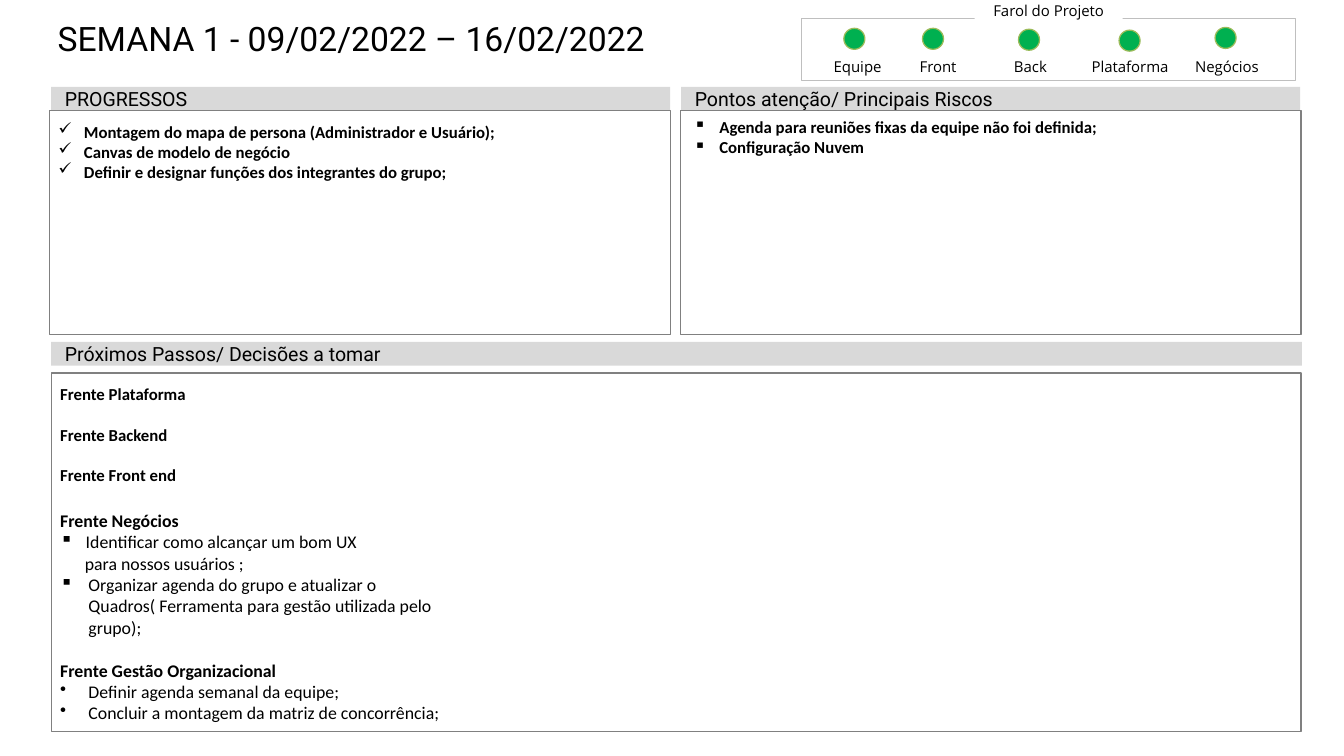
import pptx
import pptx.util
import pptx.dml.color
import pptx.enum.shapes
import pptx.enum.text
import pptx.oxml.ns
import lxml.etree

SHAPES = pptx.enum.shapes.MSO_SHAPE
ALIGN = pptx.enum.text.PP_ALIGN
ANCHOR = pptx.enum.text.MSO_ANCHOR
Inches = pptx.util.Inches
COLUMNS, ROWS = 147, 82.7


def color(hex_code):
    """Turn a hex string into a colour."""
    return pptx.dml.color.RGBColor.from_string(hex_code)


def line_of(text, bullet=None, indent=0, size=13.2, bold=True, after=0):
    """Describe one paragraph of a list."""
    return dict(text=text, bullet=bullet, indent=indent, size=size, bold=bold, after=after)


class StatusSlide:
    """Holds the style and the slide, with a method for each kind of element."""

    heading_font, label_font, body_font = "Roboto", "Open Sans", "Calibri"
    ink, band_fill, border = "000000", "D9D9D9", "808080"
    light_fill, light_border, frame_border = "00B050", "9BBB59", "BFBFBF"
    label_insets = (0.06, 0.06, 0.06, 0)

    def __init__(self, presentation):
        """Add a title-only slide and work out its grid."""
        self.slide = presentation.slides.add_slide(presentation.slide_layouts[5])
        self.column = presentation.slide_width / COLUMNS
        self.row = presentation.slide_height / ROWS

    def area(self, left, top, width, height):
        """Convert columns and rows to slide lengths."""
        return (round(left * self.column), round(top * self.row),
                round(width * self.column), round(height * self.row))

    def frame(self, shape, insets, anchor=ANCHOR.TOP, wrap=True):
        """Set up the text frame of a shape."""
        frame = shape.text_frame
        frame.auto_size = pptx.enum.text.MSO_AUTO_SIZE.NONE
        frame.word_wrap = wrap
        frame.vertical_anchor = anchor
        (frame.margin_left, frame.margin_top,
         frame.margin_right, frame.margin_bottom) = map(Inches, insets)
        return frame

    def add_text(self, paragraph, text, font, size, bold=False, align=ALIGN.LEFT):
        """Add one formatted run to a paragraph."""
        paragraph.alignment = align
        run = paragraph.add_run()
        run.text = text
        run.font.name = font
        run.font.size = pptx.util.Pt(size)
        run.font.bold = bold
        run.font.color.rgb = color(self.ink)

    def shape(self, kind, area, fill=None, border=None, weight=1):
        """Add a preset shape without shadow."""
        shape = self.slide.shapes.add_shape(kind, *self.area(*area))
        shape.shadow.inherit = False
        if fill:
            shape.fill.solid()
            shape.fill.fore_color.rgb = color(fill)
        else:
            shape.fill.background()
        if border:
            shape.line.color.rgb = color(border)
            shape.line.width = pptx.util.Pt(weight)
        else:
            shape.line.fill.background()
        return shape

    def title(self, text, area):
        """Place and fill the title placeholder."""
        title = self.slide.shapes.title
        title.left, title.top, title.width, title.height = self.area(*area)
        frame = self.frame(title, (0.12, 0, 0.12, 0))
        self.add_text(frame.paragraphs[0], text, self.heading_font, 26.5)

    def band(self, text, area):
        """Add a grey section heading."""
        band = self.shape(SHAPES.RECTANGLE, area, self.band_fill)
        frame = self.frame(band, (0.15, 0.07, 0.15, 0.07), ANCHOR.MIDDLE)
        self.add_text(frame.paragraphs[0], text, self.heading_font, 15.4)

    def panel(self, area):
        """Add an outlined box."""
        return self.shape(SHAPES.RECTANGLE, area, border=self.border)

    def textbox(self, area):
        """Add an empty text box."""
        return self.slide.shapes.add_textbox(*self.area(*area))

    def label(self, text, shape):
        """Put a small centred label in a shape."""
        frame = self.frame(shape, self.label_insets, ANCHOR.BOTTOM, wrap=False)
        self.add_text(frame.paragraphs[0], text, self.label_font, 11.8, align=ALIGN.CENTER)

    def light(self, left, top):
        """Add a green status light."""
        self.shape(SHAPES.OVAL, (left, top, 2.3, 2.3), self.light_fill, self.light_border)

    def listing(self, shape, lines, insets):
        """Fill a shape with a list of headings and bullets."""
        frame = self.frame(shape, insets)
        for number, line in enumerate(lines):
            paragraph = frame.add_paragraph() if number else frame.paragraphs[0]
            self.add_text(paragraph, line["text"], self.body_font, line["size"], line["bold"])
            paragraph.space_after = pptx.util.Pt(line["after"])
            properties = paragraph._p.get_or_add_pPr()
            indent = Inches(line["indent"])
            properties.set("marL", str(indent))
            if line["bullet"]:
                properties.set("indent", str(-indent))
                mark = lxml.etree.SubElement(properties, pptx.oxml.ns.qn("a:buChar"))
                mark.set("char", line["bullet"])


presentation = pptx.Presentation()
presentation.slide_width = Inches(14.7)
presentation.slide_height = Inches(8.27)
status = StatusSlide(presentation)

status.title("SEMANA 1 - 09/02/2022 – 16/02/2022", (5.1, 2, 132.3, 8.8))

# Section headings and panels
status.band("PROGRESSOS", (5.6, 9.5, 67.7, 2.6))
status.band("Pontos atenção/ Principais Riscos", (74.5, 9.5, 67.7, 2.6))
status.band("Próximos Passos/ Decisões a tomar", (5.6, 37.4, 136.8, 2.6))
progress = status.panel((5.4, 12.1, 67.9, 24.5))
status.panel((74.4, 12.1, 67.9, 24.5))
risks = status.textbox((74.9, 12.3, 67.4, 5.5))
next_steps = status.panel((5.6, 40.8, 136.7, 39.2))

status.listing(progress, [line_of(text, "✓", 0.28) for text in (
    "Montagem do mapa de persona (Administrador e Usuário);",
    "Canvas de modelo de negócio",
    "Definir e designar funções dos integrantes do grupo;")], (0.1, 0.12, 0.1, 0.05))
status.listing(risks, [line_of(text, "▪", 0.28) for text in (
    "Agenda para reuniões fixas da equipe não foi definida;",
    "Configuração Nuvem")], (0.1, 0.05, 0.1, 0.05))
status.listing(next_steps, [
    line_of("Frente Plataforma", after=16),
    line_of("Frente Backend", after=16),
    line_of("Frente Front end", after=19.5),
    line_of("Frente Negócios", size=14),
    line_of("Identificar como alcançar um bom UX", "▪", 0.28, 14, False),
    line_of("para nossos usuários ;", None, 0.27, 14, False),
    line_of("Organizar agenda do grupo e atualizar o Quadros( Ferramenta para gestão "
            "utilizada pelo grupo);", "▪", 0.31, 14, False, 17),
    line_of("Frente Gestão Organizacional", size=14),
    line_of("Definir agenda semanal da equipe;", "•", 0.31, 14, False),
    line_of("Concluir a montagem da matriz de concorrência;", "•", 0.31, 14, False),
], (0.1, 0.12, 9.4, 0.05))

# Project status lights: name, label left, light left, light top
for name, label_left, light_left, light_top in (
        ("Equipe", 88.9, 92.3, 3.1),
        ("Front", 97.7, 100.9, 3.1),
        ("Back", 107.8, 111.4, 3.2),
        ("Plataforma", 118.7, 122.4, 3.3),
        ("Negócios", 129.3, 132.9, 3)):
    status.label(name, status.textbox((label_left, 6.3, 9.8, 2)))
    status.light(light_left, light_top)
status.shape(SHAPES.RECTANGLE, (87.7, 2, 54, 6.8), border=status.frame_border, weight=0.5)
status.label("Farol do Projeto", status.shape(SHAPES.RECTANGLE, (106.6, 0, 16.2, 2.1), "FFFFFF"))

presentation.save("out.pptx")
